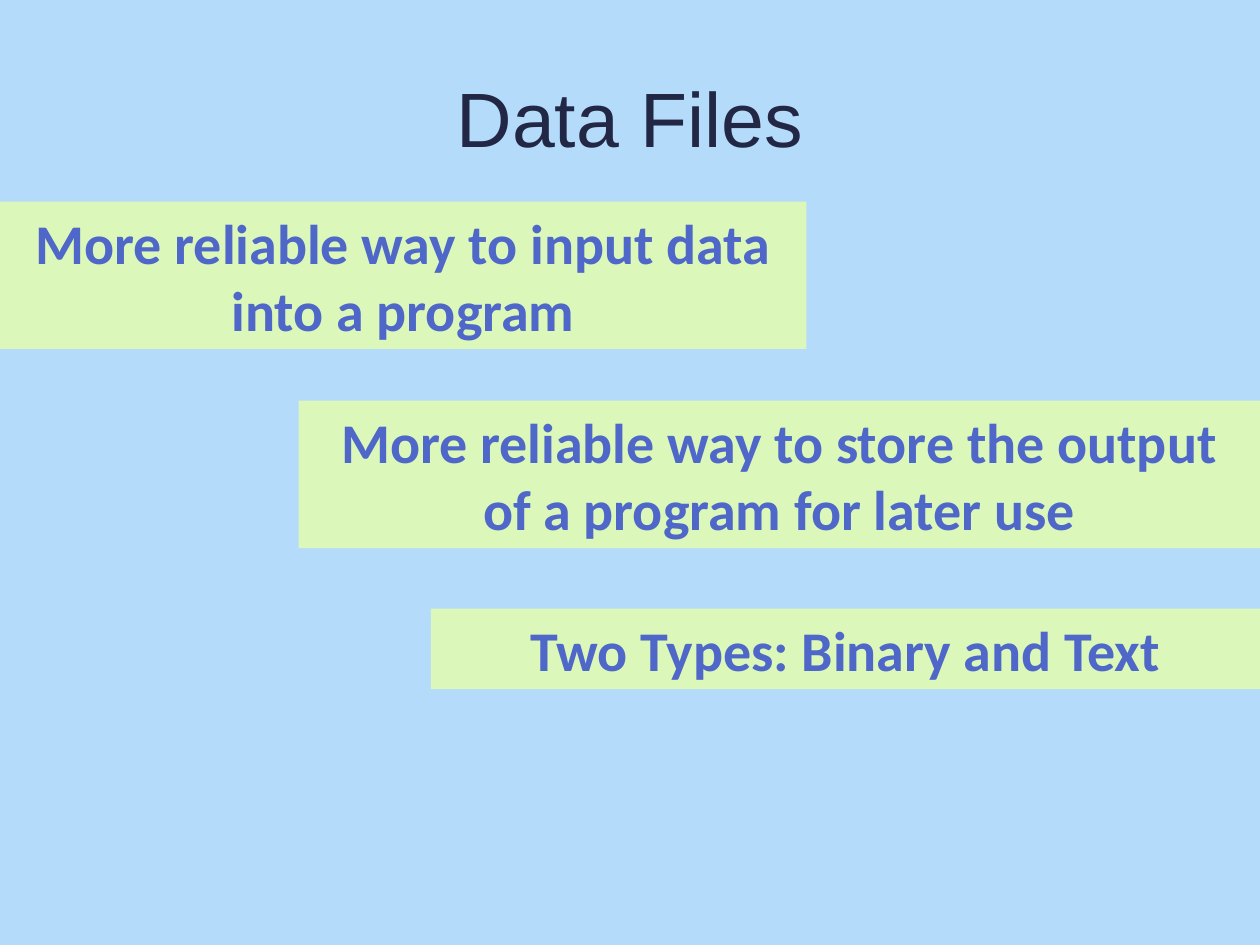
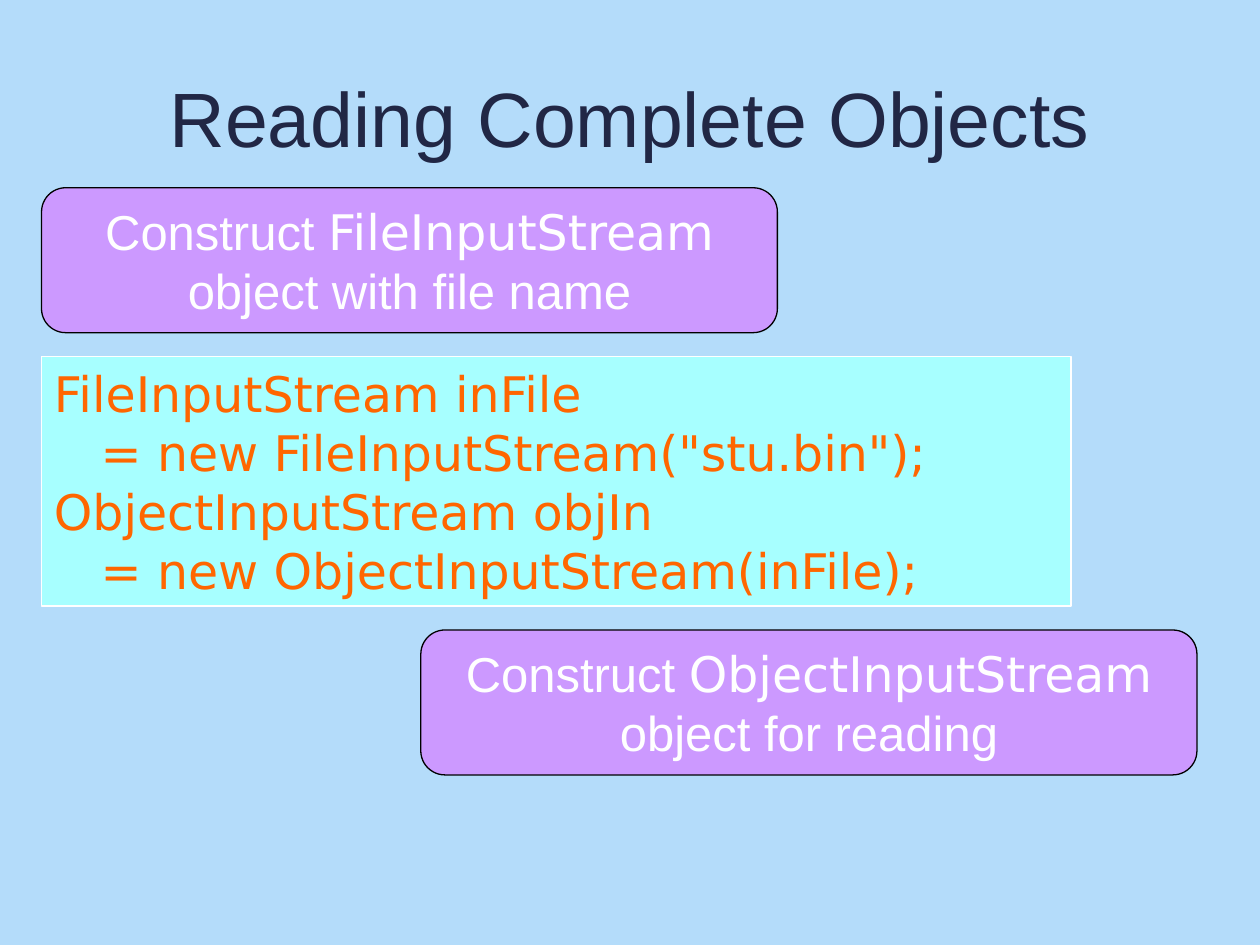
from dataclasses import dataclass

import pptx
import pptx.dml.color
import pptx.enum.shapes
import pptx.enum.text
import pptx.util

Inches = pptx.util.Inches
Align = pptx.enum.text.PP_ALIGN
Preset = pptx.enum.shapes.MSO_SHAPE

COLORS = {
    "background": "B4DCFA",
    "title": "212745",
    "band": "DCF7BA",
    "band text": "4E67C8",
    "code": "A7FFFF",
    "code text": "FF6600",
    "step": "CC99FF",
    "white": "FFFFFF",
    "black": "000000",
}
BODY_FONT, BAND_FONT, CODE_FONT = "Arial", "Calibri", "DejaVu Sans"


@dataclass(frozen=True)
class Style:
    """Look shared by all boxes of one kind."""
    preset: Preset
    fill: str
    line: str | None
    text: str
    font: str
    size: int
    bold: bool = False
    align: Align = Align.CENTER


@dataclass(frozen=True)
class Piece:
    """A stretch of text, optionally in its own font."""
    text: str
    font: str | None = None


@dataclass(frozen=True)
class Line:
    """A paragraph with a left indent in inches."""
    pieces: tuple[Piece, ...]
    indent: float = 0


@dataclass(frozen=True)
class Box:
    left: float
    top: float
    width: float
    height: float
    lines: tuple[Line, ...]


BAND = Style(Preset.RECTANGLE, "band", None, "band text", BAND_FONT, 32, bold=True)
CODE = Style(Preset.RECTANGLE, "code", "white", "code text", CODE_FONT, 28, align=Align.LEFT)
STEP = Style(Preset.ROUNDED_RECTANGLE, "step", "black", "white", BODY_FONT, 28)


def rgb(name: str) -> pptx.dml.color.RGBColor:
    return pptx.dml.color.RGBColor.from_string(COLORS[name])


def format_run(run, font: str, size: int, color: str, bold: bool = False) -> None:
    run.font.name = font
    run.font.size = pptx.util.Pt(size)
    run.font.bold = bold
    run.font.color.rgb = rgb(color)


def add_titled_slide(deck, title: str):
    slide = deck.slides.add_slide(deck.slide_layouts[6])
    slide.background.fill.solid()
    slide.background.fill.fore_color.rgb = rgb("background")
    heading = slide.shapes.add_textbox(Inches(0.5), Inches(0.3), Inches(9), Inches(1.25))
    frame = heading.text_frame
    frame.word_wrap = True
    frame.vertical_anchor = pptx.enum.text.MSO_ANCHOR.MIDDLE
    frame.text = title
    frame.paragraphs[0].alignment = Align.CENTER
    format_run(frame.paragraphs[0].runs[0], BODY_FONT, 44, "title")
    return slide


def add_box(slide, box: Box, style: Style) -> None:
    panel = slide.shapes.add_shape(
        style.preset, Inches(box.left), Inches(box.top), Inches(box.width), Inches(box.height))
    panel.shadow.inherit = False
    panel.fill.solid()
    panel.fill.fore_color.rgb = rgb(style.fill)
    if style.line:
        panel.line.color.rgb = rgb(style.line)
        panel.line.width = pptx.util.Pt(0.75)
    else:
        panel.line.fill.background()

    frame = panel.text_frame
    frame.word_wrap = True
    frame.auto_size = pptx.enum.text.MSO_AUTO_SIZE.SHAPE_TO_FIT_TEXT
    frame.vertical_anchor = pptx.enum.text.MSO_ANCHOR.MIDDLE
    for index, line in enumerate(box.lines):
        paragraph = frame.add_paragraph() if index else frame.paragraphs[0]
        paragraph.alignment = style.align
        if line.indent:
            paragraph._p.get_or_add_pPr().set("marL", str(Inches(line.indent)))
        for piece in line.pieces:
            run = paragraph.add_run()
            run.text = piece.text
            format_run(run, piece.font or style.font, style.size, style.text, style.bold)


def plain(text: str, indent: float = 0) -> Line:
    return Line((Piece(text),), indent)


def construct_step(class_name: str, purpose: str) -> tuple[Line, ...]:
    return (Line((Piece("Construct "), Piece(class_name, CODE_FONT),
                  Piece(f" object {purpose}"))),)


def build_data_files(deck) -> None:
    slide = add_titled_slide(deck, "Data Files")
    bands = (
        Box(0, 1.6, 6.4, 1.17, (plain("More reliable way to input data into a program"),)),
        Box(2.37, 3.18, 7.63, 1.17,
            (plain("More reliable way to store the output of a program for later use"),)),
        Box(3.42, 4.83, 6.58, 0.64, (plain("Two Types: Binary and Text"),)),
    )
    for band in bands:
        add_box(slide, band, BAND)


def build_reading_objects(deck) -> None:
    slide = add_titled_slide(deck, "Reading Complete Objects")
    # Code sample
    continuation = 0.37
    add_box(slide, Box(0.33, 2.83, 8.17, 1.98, (
        plain("FileInputStream inFile"),
        plain('= new FileInputStream("stu.bin");', continuation),
        plain("ObjectInputStream objIn"),
        plain("= new ObjectInputStream(inFile);", continuation),
    )), CODE)
    # Explanations below and above the code
    steps = (
        Box(3.34, 5, 6.16, 1.15, construct_step("ObjectInputStream", "for reading")),
        Box(0.33, 1.49, 5.84, 1.15, construct_step("FileInputStream", "with file name")),
    )
    for step in steps:
        add_box(slide, step, STEP)


def main() -> None:
    deck = pptx.Presentation()
    deck.slide_width, deck.slide_height = Inches(10), Inches(7.5)
    build_data_files(deck)
    build_reading_objects(deck)
    deck.save("out.pptx")


if __name__ == "__main__":
    main()
